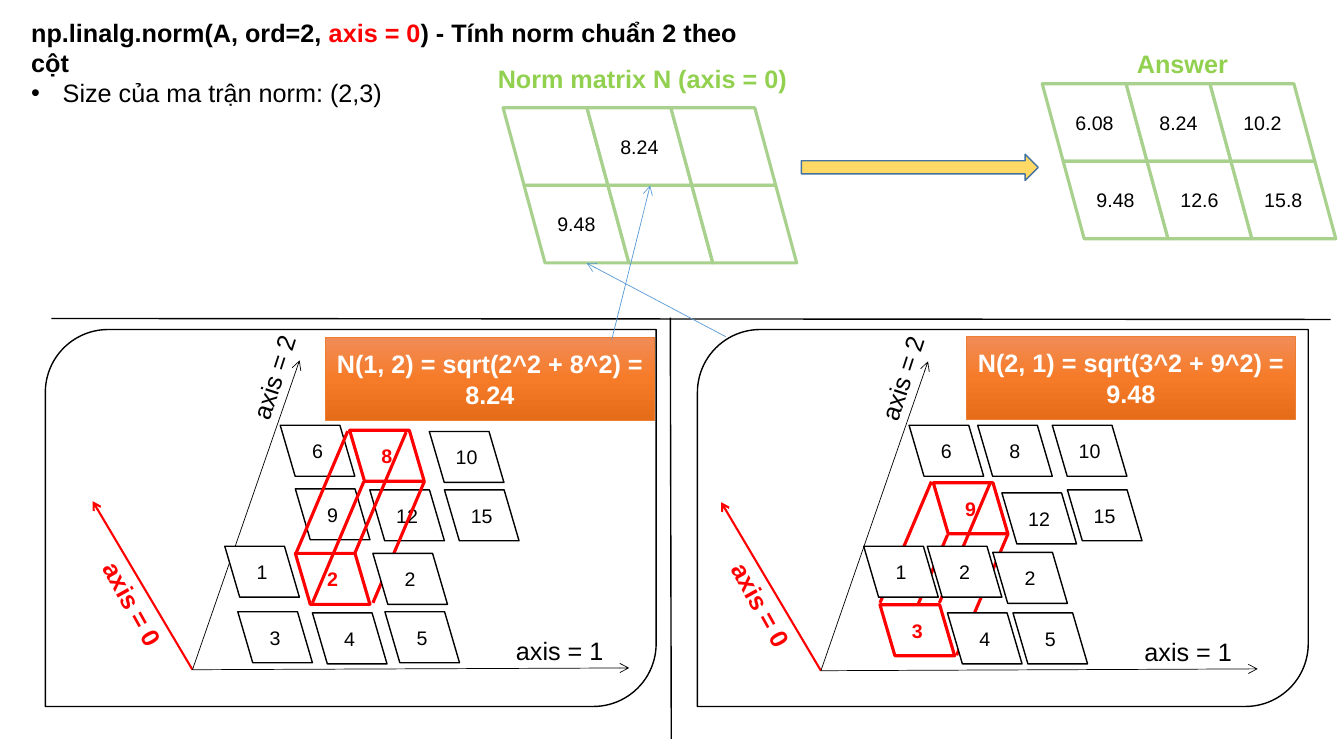
from copy import deepcopy
from dataclasses import dataclass

from lxml.etree import SubElement
from pptx import Presentation
from pptx.dml.color import RGBColor
from pptx.enum.shapes import MSO_CONNECTOR, MSO_SHAPE
from pptx.enum.text import MSO_ANCHOR, MSO_AUTO_SIZE, PP_ALIGN
from pptx.oxml.ns import qn
from pptx.util import Pt


@dataclass(frozen=True)
class Theme:
    font: str = "Arial"
    head: int = 18
    body: int = 14
    ink: str = "000000"
    paper: str = "FFFFFF"
    hot: str = "FF0000"
    grid: str = "A9D18E"
    label: str = "92D050"
    link: str = "5B9BD5"
    arrow: str = "FFD966"
    rim: str = "43739E"
    edge: str = "ED7D31"
    glow: tuple = ((0, "F18C57"), (0.5, "F67B28"), (1, "E56C19"))
    thin: float = 0.5
    line: float = 1
    mid: float = 1.5
    bold: float = 2.25


THEME = Theme()
CELL = (53.3, 36.4)
TILE = (74.9, 55.4)
DEPTH = (36.7, -86.6)

AXES = [
    ((-71.3, -120.4), THEME.hot, THEME.mid),
    ((312, -1.3), THEME.ink, THEME.thin),
    ((76.5, -221), THEME.ink, THEME.thin),
]
NAMES = [
    ("axis = 0", (-82.7, -61.3, 80, 28.8), 61, True),
    ("axis = 1", (224, -28.3, 77, 28.8), 0, False),
    ("axis = 2", (19.4, -223.5, 77, 28.8), 288, False),
]
LEFT = [
    ("6", 200.2, 303.8), ("10", 306.7, 308.2), ("8", 249.8, 307.4, True),
    ("12", 264.2, 349.9), ("15", 317.5, 349.9), ("9", 211, 349.2),
    ("1", 160.6, 390.2), ("2", 211, 395.3, True), ("4", 223.2, 437.8),
    ("5", 275, 437), ("3", 169.9, 437),
]
RIGHT = [
    ("6", 649.4, 303.8), ("8", 698.4, 303.8), ("10", 751.7, 303.8),
    ("9", 666.7, 344.9, True), ("12", 715.7, 352.1), ("15", 762.5, 349.9),
    ("2", 709.2, 394.6), ("5", 723.6, 437.8), ("3", 628.6, 432, True),
    ("4", 676.8, 437.8),
]
FRONT = [("2", 662.4, 390.2), ("1", 617, 390.2), ("2", 266.4, 395.3)]
BACK = [(683.3, 468), (640.1, 468.7)]
RAYS = [(211.7, 394.6), (253.4, 395.3), (266.4, 430.6), (223.2, 430.6),
        (628.6, 430.6), (671, 430.6)]
NORM = [["", "8.24", ""], ["9.48", "", ""]]
FULL = [["6.08", "8.24", "10.2"], ["9.48", "12.6", "15.8"]]


def put(item, vals):
    for key, val in vals.items():
        setattr(item, key, val)


def tint(name):
    return RGBColor.from_string(name)


def write(para, text, color, size, bold=False):
    run = para.add_run()
    run.text = text
    put(run.font, {"name": THEME.font, "size": Pt(size), "bold": bold})
    run.font.color.rgb = tint(color)


def form(host, kind, box, fill, line, width):
    shape = host.shapes.add_shape(kind, *map(Pt, box))
    shape.shadow.inherit = False
    if fill:
        shape.fill.solid()
        shape.fill.fore_color.rgb = tint(fill)
    shape.line.color.rgb = tint(line)
    shape.line.width = Pt(width)
    return shape


def fill_in(shape, text, color, size, bold):
    frame = shape.text_frame
    put(frame, {"vertical_anchor": MSO_ANCHOR.MIDDLE, "word_wrap": True})
    para = frame.paragraphs[0]
    para.alignment = PP_ALIGN.CENTER
    write(para, text, color, size, bold)


def slant(host, box, text, line, width, color=THEME.ink, bold=False):
    shape = form(host, MSO_SHAPE.FLOWCHART_DATA, box, THEME.paper, line, width)
    shape.element.spPr.find(qn("a:xfrm")).set("flipH", "1")
    if text:
        fill_in(shape, text, color, THEME.body, bold)


def cell(host, text, x, y, hot=False):
    color = THEME.hot if hot else THEME.ink
    width = THEME.bold if hot else THEME.line
    slant(host, (x, y, *CELL), text, color, width, color, hot)


def grid(slide, x, y, rows):
    group = slide.shapes.add_group_shape()
    wide, high = TILE
    for r, row in enumerate(rows):
        for c, text in enumerate(row):
            box = (x + wide * (0.8 * c + 0.2 * r), y + high * r, wide, high)
            slant(group, box, text, THEME.grid, THEME.bold)


def stroke(host, start, end, color, width, tip=False):
    line = host.shapes.add_connector(MSO_CONNECTOR.STRAIGHT, *map(Pt, (*start, *end)))
    line.line.color.rgb = tint(color)
    line.line.width = Pt(width)
    props = line.element.spPr
    if tip:
        SubElement(props.find(qn("a:ln")), qn("a:tailEnd"), type="arrow")
    SubElement(props, qn("a:effectLst"))


def ray(slide, x, y):
    stroke(slide, (x, y), (x + DEPTH[0], y + DEPTH[1]), THEME.hot, THEME.bold)


def label(host, text, box, color, bold, turn=0):
    shape = host.shapes.add_textbox(*map(Pt, box))
    shape.rotation = turn
    put(shape.text_frame, {"word_wrap": False, "auto_size": MSO_AUTO_SIZE.SHAPE_TO_FIT_TEXT})
    write(shape.text_frame.paragraphs[0], text, color, THEME.head, bold)


def plot(slide, x, y, cells):
    group = slide.shapes.add_group_shape()
    for (dx, dy), color, width in AXES:
        stroke(group, (x, y), (x + dx, y + dy), color, width, True)
    for item in cells:
        cell(group, *item)
    for text, (dx, dy, wide, high), turn, hot in NAMES:
        color = THEME.hot if hot else THEME.ink
        label(group, text, (x + dx, y + dy, wide, high), color, hot, turn)


def banner(slide, text, x, y):
    shape = form(slide, MSO_SHAPE.RECTANGLE, (x, y, 234.7, 59), None, THEME.edge, THEME.thin)
    shape.fill.gradient()
    shape.fill.gradient_angle = 270
    stops = shape.element.spPr.find(qn("a:gradFill")).find(qn("a:gsLst"))
    stops.append(deepcopy(stops[0]))
    for stop, (place, color) in zip(shape.fill.gradient_stops, THEME.glow):
        stop.position = place
        stop.color.rgb = tint(color)
    fill_in(shape, text, THEME.paper, THEME.head, True)


def title(slide):
    shape = slide.shapes.title
    put(shape, {"left": Pt(15.1), "top": Pt(8.6), "width": Pt(550), "height": Pt(51)})
    frame = shape.text_frame
    put(frame, {"word_wrap": False, "vertical_anchor": MSO_ANCHOR.TOP,
                "auto_size": MSO_AUTO_SIZE.SHAPE_TO_FIT_TEXT})
    first, point = frame.paragraphs[0], frame.add_paragraph()
    for para in (first, point):
        put(para, {"alignment": PP_ALIGN.LEFT, "space_before": Pt(0)})
    write(first, "np.linalg.norm(A, ord=2, ", THEME.ink, THEME.head, True)
    write(first, "axis = 0", THEME.hot, THEME.head, True)
    write(first, ") - Tính norm chuẩn 2 theo cột", THEME.ink, THEME.head, True)
    write(point, "Size của ma trận norm: (2,3)", THEME.ink, THEME.head)
    props = point._p.get_or_add_pPr()
    props.set("marL", str(Pt(22.5)))
    props.set("indent", str(Pt(-22.5)))
    SubElement(props, qn("a:buFont"), typeface=THEME.font)
    SubElement(props, qn("a:buChar"), char="•")


def panel(slide, x):
    form(slide, MSO_SHAPE.ROUND_2_DIAG_RECTANGLE, (x, 235.4, 436.3, 269.3),
         THEME.paper, THEME.ink, THEME.line)


def main():
    deck = Presentation()
    put(deck, {"slide_width": Pt(960), "slide_height": Pt(540)})
    slide = deck.slides.add_slide(deck.slide_layouts[5])
    title(slide)
    panel(slide, 498.2)
    for spot in BACK:
        ray(slide, *spot)
    panel(slide, 32.4)
    stroke(slide, (478.8, 226.8), (479.5, 527.8), THEME.ink, THEME.line)
    plot(slide, 137.5, 478.4, LEFT)
    plot(slide, 586.4, 479.1, RIGHT)
    grid(slide, 359.4, 77, NORM)
    label(slide, "Norm matrix N (axis = 0)", (348.5, 41.8, 221, 28.8), THEME.label, True)
    stroke(slide, (950.4, 228.2), (36.7, 227.5), THEME.ink, THEME.line)
    banner(slide, "N(2, 1) = sqrt(3^2 + 9^2) = 9.48", 690.5, 240.5)
    stroke(slide, (518.4, 240.5), (419, 187.9), THEME.link, THEME.thin, True)
    banner(slide, "N(1, 2) = sqrt(2^2 + 8^2) = 8.24", 232.6, 241.2)
    stroke(slide, (437, 242.6), (464.4, 132.5), THEME.link, THEME.thin, True)
    grid(slide, 744.5, 59.8, FULL)
    label(slide, "Answer", (805, 31, 79.2, 28.8), THEME.label, True)
    form(slide, MSO_SHAPE.RIGHT_ARROW, (572.4, 110.2, 169.2, 18.7),
         THEME.arrow, THEME.rim, THEME.line)
    for spot in RAYS:
        ray(slide, *spot)
    for item in FRONT:
        cell(slide, *item)
    deck.save("out.pptx")


if __name__ == "__main__":
    main()
